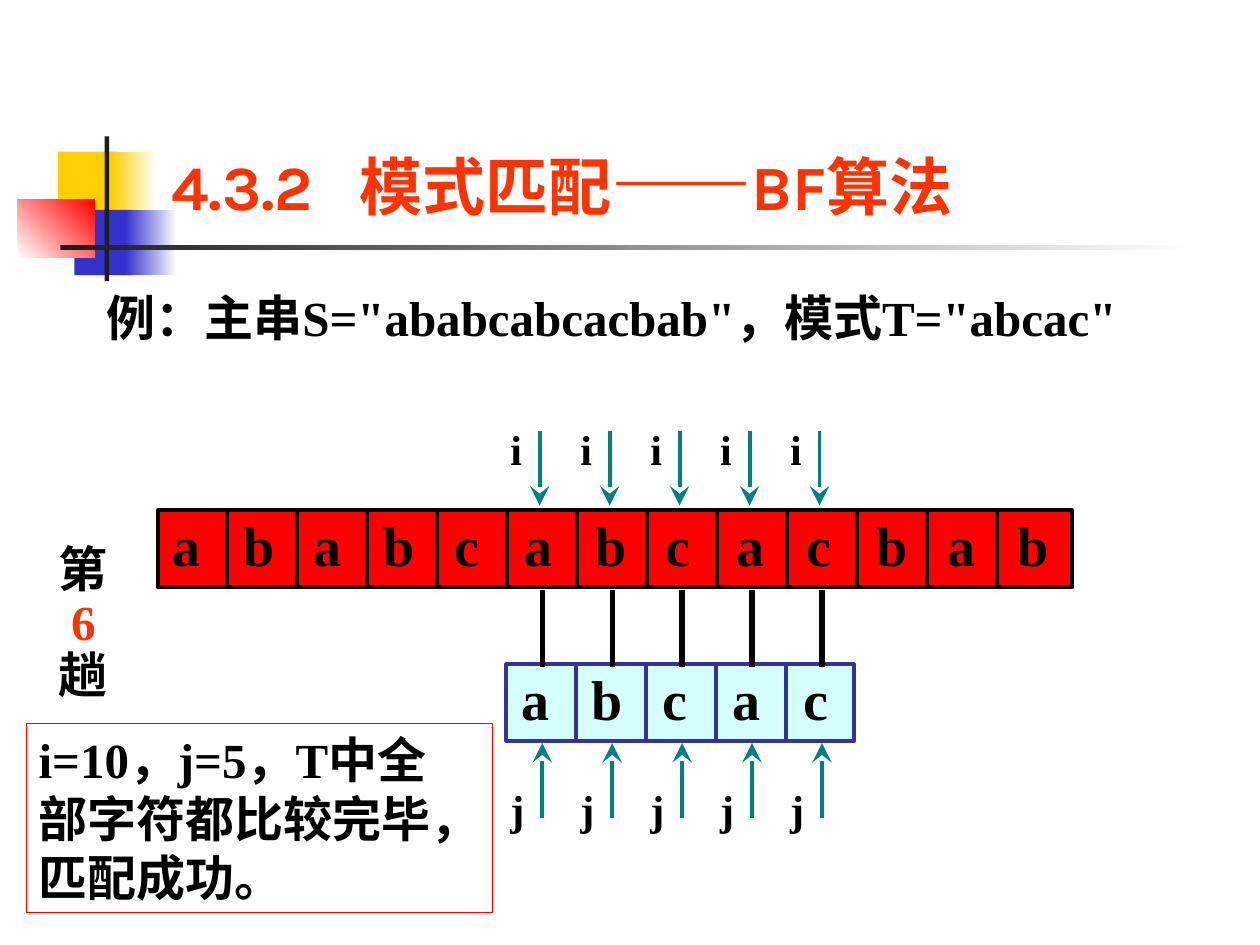
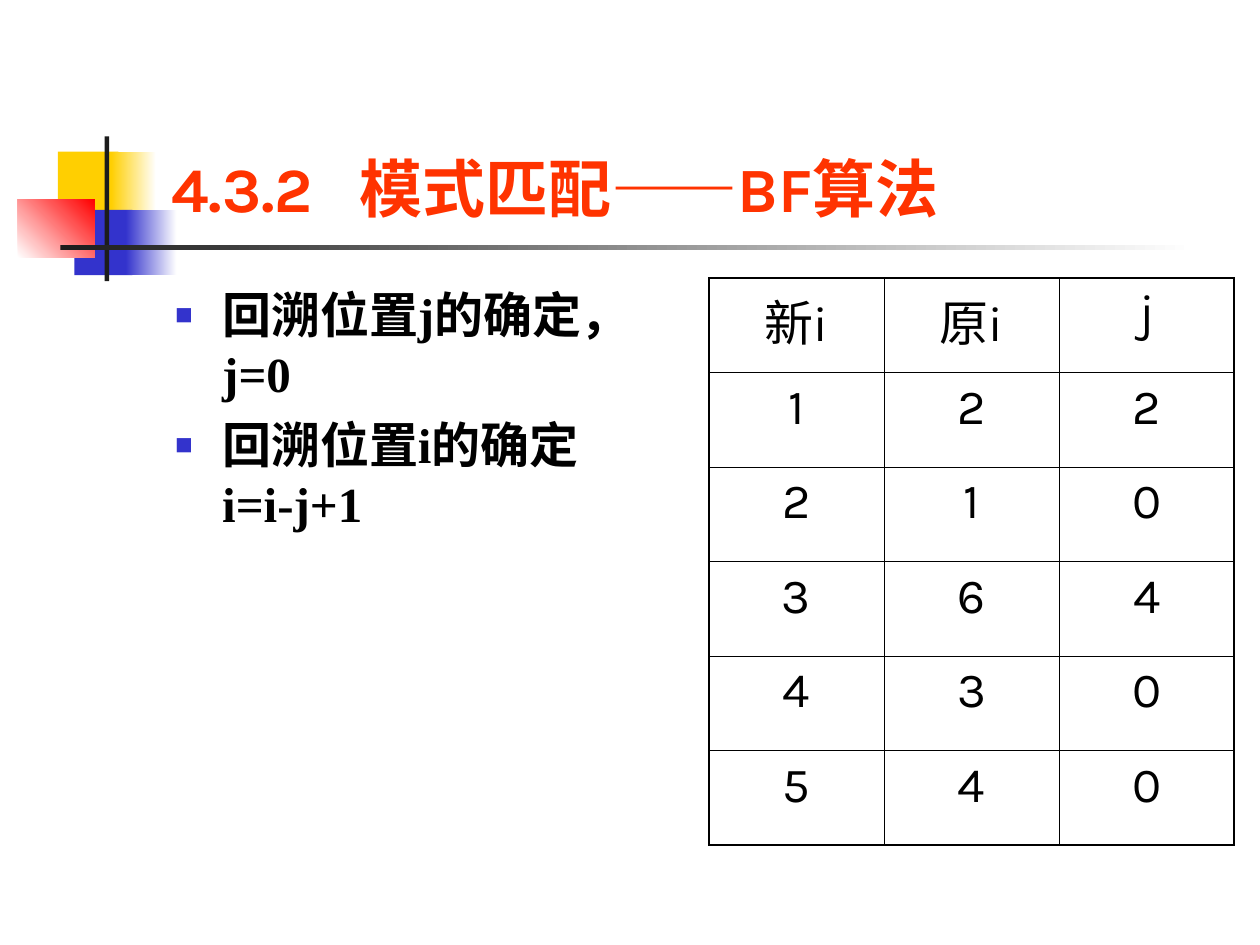
from lxml.etree import SubElement
from pptx import Presentation
from pptx.dml.color import RGBColor
from pptx.enum.shapes import MSO_CONNECTOR, MSO_SHAPE
from pptx.enum.text import MSO_ANCHOR, MSO_AUTO_SIZE, PP_ALIGN
from pptx.oxml.ns import qn
from pptx.util import Cm, Pt

COLOURS = {
    "ink": "000000", "white": "FFFFFF", "title": "FF3300", "red": "FF0000",
    "yellow": "FFCF01", "blue": "3333CC", "dark": "1C1C1C",
    "navy": "333399", "pale": "D5FFFF", "teal": "008080",
}
SERIF = "Times New Roman"
SANS = "Karla"
CELL = 1.41
LETTER_STEP = 1.42
FIRST_CELL = 1.4
TITLE_BOX = (3.2, 0.6, 21.64, 4.06)
MOTIF_BOX = (0.36, 2.75, 23.72, 2.92)
MOTIF_PARTS = [
    ((0.81, 0.31, 1.22, 1.32), ("yellow",), 0),
    ((1.88, 0.31, 0.91, 1.32), ("yellow", "white"), 0),
    ((1.14, 1.48, 1.17, 1.32), ("blue",), 0),
    ((2.18, 1.48, 1.02, 1.32), ("blue", "white"), 0),
    ((0, 1.27, 1.55, 1.17), ("white", "red"), 45),
    ((1.75, 0, 0.09, 2.92), ("dark",), 0),
    ((0.86, 2.19, 22.86, 0.1), ("dark", "white"), 0),
]
POSITIONS = [
    ("新i", "原i", "j"), ("1", "2", "2"), ("2", "1", "0"),
    ("3", "6", "4"), ("4", "3", "0"), ("5", "4", "0"),
]


def rgb(name):
    """Return the named colour."""
    return RGBColor.from_string(COLOURS[name])


def apply(target, formats):
    """Set every attribute listed in formats."""
    for name, value in formats.items():
        setattr(target, name, value)


def write(para, text, size, colour="ink", font=SERIF, bold=True):
    """Add one formatted span to a paragraph."""
    span = para.add_run()
    span.text = text
    apply(span.font, {"name": font, "size": Pt(size), "bold": bold})
    span.font.color.rgb = rgb(colour)


def set_tabs(para, stops):
    """Give a paragraph left tab stops."""
    tab_list = SubElement(para._p.get_or_add_pPr(), qn("a:tabLst"))
    for stop in stops:
        SubElement(tab_list, qn("a:tab"), pos=str(Cm(stop)), algn="l")


def set_frame(frame, margins=(0.25, 0.13, 0.25, 0.13), anchor=MSO_ANCHOR.TOP):
    """Set wrapping, insets and anchor, and return the first paragraph."""
    left, top, right, bottom = map(Cm, margins)
    apply(frame, {
        "word_wrap": True, "auto_size": MSO_AUTO_SIZE.NONE,
        "vertical_anchor": anchor, "margin_left": left, "margin_top": top,
        "margin_right": right, "margin_bottom": bottom,
    })
    return frame.paragraphs[0]


def place(shape, box):
    """Move a placeholder to its box."""
    apply(shape, dict(zip(("left", "top", "width", "height"), map(Cm, box))))


def add_box(shapes, box, fills=(), angle=0, outline=None, width=0.75):
    """Add a rectangle with a plain, gradient or empty fill."""
    shape = shapes.add_shape(MSO_SHAPE.RECTANGLE, *map(Cm, box))
    shape.shadow.inherit = False
    if not fills:
        shape.fill.background()
    elif len(fills) == 1:
        shape.fill.solid()
        shape.fill.fore_color.rgb = rgb(fills[0])
    else:
        shape.fill.gradient()
        shape.fill.gradient_angle = angle
        for position, (stop, name) in enumerate(zip(shape.fill.gradient_stops, fills)):
            stop.position = position
            stop.color.rgb = rgb(name)
    if outline:
        shape.line.color.rgb = rgb(outline)
        shape.line.width = Pt(width)
    else:
        shape.line.fill.background()
    return shape


def add_line(shapes, ends, colour, width=2.25, arrow=False):
    """Add a straight line, with an arrowhead on request."""
    line = shapes.add_connector(MSO_CONNECTOR.STRAIGHT, *map(Cm, ends))
    line.line.color.rgb = rgb(colour)
    line.line.width = Pt(width)
    properties = line.element.spPr
    if arrow:
        SubElement(properties.find(qn("a:ln")), qn("a:tailEnd"),
                   type="stealth", w="lg", len="lg")
    SubElement(properties, qn("a:effectLst"))


def add_text(shapes, box, text, size, **frame_formats):
    """Add a text box with one paragraph and return it."""
    label = shapes.add_textbox(*map(Cm, box))
    write(set_frame(label.text_frame, **frame_formats), text, size)
    return label


def add_motif(page, box):
    """Draw the coloured squares and rules beside the title."""
    for (left, top, width, height), fills, angle in MOTIF_PARTS:
        add_box(page.shapes, (box[0] + left, box[1] + top, width, height), fills, angle)


def add_page(deck, layout, dash_size):
    """Add a slide with the shared motif and title."""
    page = deck.slides.add_slide(deck.slide_layouts.get_by_name(layout))
    add_motif(page, MOTIF_BOX)
    title = page.shapes.title
    place(title, TITLE_BOX)
    para = set_frame(title.text_frame, anchor=MSO_ANCHOR.BOTTOM)
    para.alignment = PP_ALIGN.LEFT
    set_tabs(para, [3.8])
    write(para, "4.3.2\t模式匹配", 36, "title", SANS)
    write(para, "——", dash_size, "title", "Arial")
    write(para, "BF算法", 36, "title", SANS)
    return page


def add_strip(page, box, letters, fill, outline):
    """Draw a string as a row of letter cells."""
    left, top, width, height = box
    strip = add_box(page.shapes, box, (fill,), outline=outline, width=2.25)
    para = set_frame(strip.text_frame, (0.3, 0, 0.05, 0))
    para.alignment = PP_ALIGN.LEFT
    set_tabs(para, [LETTER_STEP * index for index in range(1, len(letters))])
    write(para, "\t".join(letters), 32)
    for index in range(len(letters) - 1):
        x = left + FIRST_CELL + CELL * index
        add_line(page.shapes, (x, top, x, top + height), outline)


def add_comparison(page, box):
    """Draw one compared pair with its i and j pointers."""
    left, top, width, height = box
    shapes = page.shapes.add_group_shape().shapes
    x = left + width
    bottom = top + height
    add_line(shapes, (x, top + 3.2, x, top + 4.75), "ink", 3)
    add_line(shapes, (x - 0.05, top, x - 0.05, top + 1.5), "teal", arrow=True)
    add_line(shapes, (x, bottom, x, bottom - 1.5), "teal", arrow=True)
    for letter, y in (("i", top - 0.28), ("j", bottom - 0.82)):
        add_text(shapes, (left, y, 0.64, 1.27), letter, 24, margins=(0, 0.13, 0, 0.13))


def add_round_label(page, box):
    """Write the number of the matching round downwards."""
    frame = add_text(page.shapes, box, "第", 28).text_frame
    for text, colour in ((" 6", "title"), ("趟", "ink")):
        write(frame.add_paragraph(), text, 28, colour)
    for para in frame.paragraphs:
        para.line_spacing = 0.9


def add_result(page, box):
    """Write the outcome of the round in a red frame."""
    result = add_box(page.shapes, box, outline="red")
    para = set_frame(result.text_frame, (0.25, 0.13, 0.8, 0.13))
    para.alignment = PP_ALIGN.LEFT
    write(para, "i=10，j=5，T中全部字符都比较完毕，匹配成功。", 28)


def add_rules(page, box):
    """Fill the body with the two backtracking rules."""
    body = page.placeholders[1]
    place(body, box)
    frame = body.text_frame
    first = set_frame(frame)
    rules = [["回溯位置j的确定，j=0"], ["回溯位置i的确定", "i=i-j+1"]]
    for index, lines in enumerate(rules):
        para = frame.add_paragraph() if index else first
        properties = para._p.get_or_add_pPr()
        properties.set("marL", str(Cm(0.95)))
        properties.set("indent", str(Cm(-0.95)))
        colour = SubElement(properties, qn("a:buClr"))
        SubElement(colour, qn("a:srgbClr"), val=COLOURS["blue"])
        SubElement(properties, qn("a:buSzPct"), val="60000")
        SubElement(properties, qn("a:buChar"), char="■")
        para.space_before = Pt(7 * index)
        for number, line in enumerate(lines):
            if number:
                para.add_line_break()
            write(para, line, 28)


def set_borders(cell, widths):
    """Draw the four sides of a table cell."""
    properties = cell._tc.get_or_add_tcPr()
    for side, width in widths.items():
        line = SubElement(properties, qn("a:ln" + side), w=str(Pt(width)))
        fill = SubElement(line, qn("a:solidFill"))
        SubElement(fill, qn("a:srgbClr"), val=COLOURS["ink"])


def add_position_table(page, box):
    """Tabulate the new and old positions."""
    rows, columns = len(POSITIONS), len(POSITIONS[0])
    table = page.shapes.add_table(rows, columns, *map(Cm, box)).table
    apply(table, {"first_row": False, "horz_banding": False})
    for row, values in enumerate(POSITIONS):
        for column, value in enumerate(values):
            cell = table.cell(row, column)
            edges = {"L": column == 0, "R": column == columns - 1,
                     "T": row == 0, "B": row == rows - 1}
            set_borders(cell, {side: 1.08 if outer else 0.45
                               for side, outer in edges.items()})
            cell.fill.background()
            para = cell.text_frame.paragraphs[0]
            para.alignment = PP_ALIGN.CENTER
            write(para, value, 28, font=SANS, bold=False)


def build_matching_page(deck):
    """Show the sixth round of the matching example."""
    page = add_page(deck, "Title Only", 40)
    add_strip(page, (3.18, 10.29, 18.44, 1.55), "ababcabcacbab", "red", "ink")
    add_strip(page, (10.21, 13.39, 7.01, 1.55), "abcac", "pale", "navy")
    add_result(page, (0.53, 14.58, 9.4, 3.81))
    add_round_label(page, (0.94, 10.87, 1.8, 3.45))
    for index in range(5):
        add_comparison(page, (10.29 + CELL * index, 8.69, 0.64, 7.79))
    add_text(page.shapes, (1.9, 5.66, 22.66, 1.45),
             '例：主串S="ababcabcacbab"，模式T="abcac"', 28)


def build_backtracking_page(deck):
    """Show how the backtracking positions are found."""
    page = add_page(deck, "Title and Content", 36)
    add_rules(page, (3.28, 5.61, 10.59, 11.43))
    add_position_table(page, (14.29, 5.61, 10.59, 11.43))


def main():
    """Build and save the deck."""
    deck = Presentation()
    apply(deck, {"slide_width": Cm(25.4), "slide_height": Cm(19.05)})
    build_matching_page(deck)
    build_backtracking_page(deck)
    deck.save("out.pptx")


if __name__ == "__main__":
    main()
